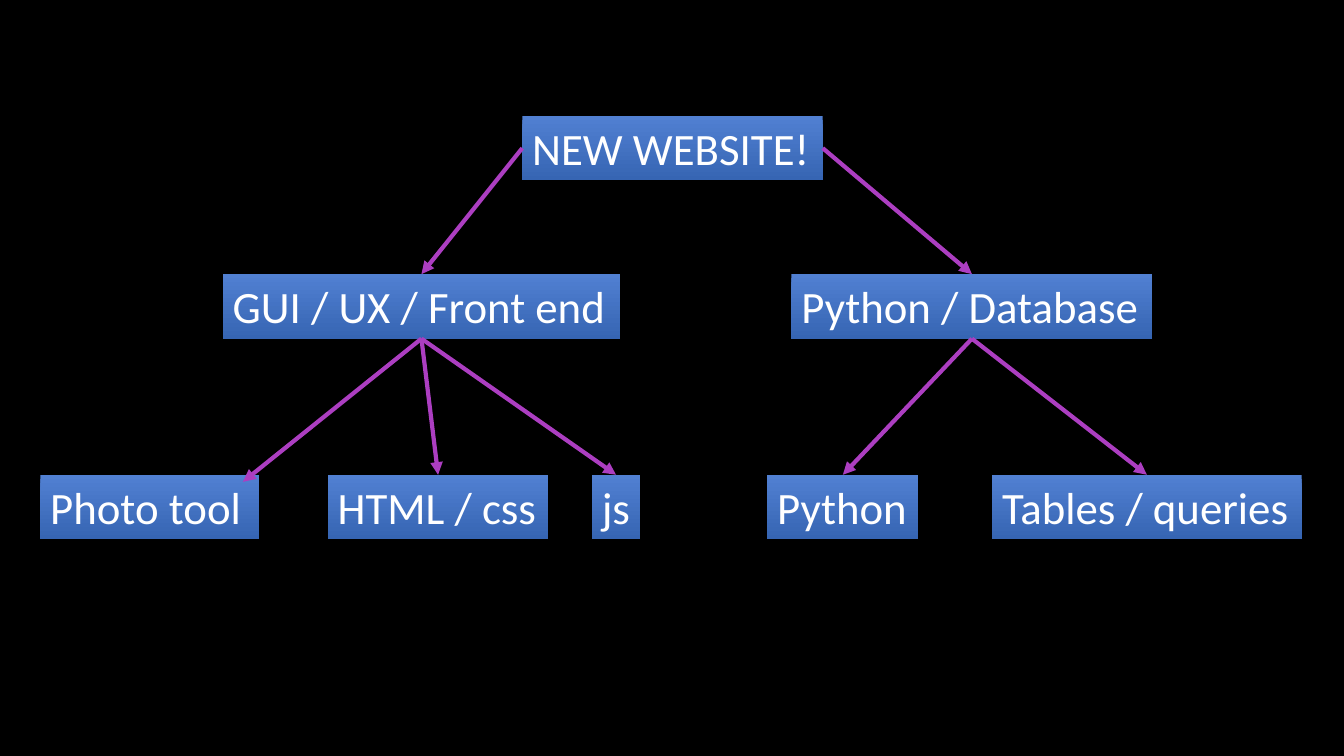
from lxml import etree
from pptx import Presentation
from pptx.dml.color import RGBColor
from pptx.enum import shapes, text
from pptx.oxml import ns
from pptx.util import Inches, Pt

TOP, LEFT, BOTTOM, RIGHT = range(4)
BOX_HEIGHT = 0.64


def color(value):
    return RGBColor.from_string(value)


def write(box, content, size=32, font="Calibri", fill="FFFFFF"):
    frame = box.text_frame
    frame.word_wrap = False
    frame.auto_size = text.MSO_AUTO_SIZE.SHAPE_TO_FIT_TEXT
    span = frame.paragraphs[0].add_run()
    span.text = content
    span.font.size = Pt(size)
    span.font.name = font
    span.font.color.rgb = color(fill)


def add_node(page, label, left, top, width):
    box = page.shapes.add_textbox(
        Inches(left), Inches(top), Inches(width), Inches(BOX_HEIGHT))
    box.fill.gradient()
    box.fill.gradient_angle = 270
    for stop, shade in zip(box.fill.gradient_stops, ("5180D2", "3665B3")):
        stop.color.rgb = color(shade)
        stop.position = 0 if shade == "5180D2" else 1
    write(box, label)
    return box


def add_arrow(page, parent, side, child, end=None):
    x, y = end or (0, 0)
    arrow = page.shapes.add_connector(
        shapes.MSO_CONNECTOR.STRAIGHT, 0, 0, Inches(x), Inches(y))
    arrow.begin_connect(parent, side)
    if end is None:
        arrow.end_connect(child, TOP)
    arrow.line.color.rgb = color("AC3EC1")
    arrow.line.width = Pt(3)
    etree.SubElement(arrow.line._get_or_add_ln(), ns.qn("a:tailEnd"), type="triangle")
    etree.SubElement(arrow._element.spPr, ns.qn("a:effectLst"))


def add_row(page, top, nodes):
    return [add_node(page, label, left, top, width) for label, left, width in nodes]


def build_tree(page):
    root, = add_row(page, 1.15, [("NEW WEBSITE!", 5.18, 2.98)])
    front, back = add_row(page, 2.72, [
        ("GUI / UX / Front end", 2.21, 3.94),
        ("Python / Database", 7.85, 3.58),
    ])
    photo, markup, script, python, tables = add_row(page, 4.71, [
        ("Photo tool", 0.4, 2.17),
        ("HTML / css", 3.25, 2.19),
        ("js", 5.87, 0.48),
        ("Python", 7.61, 1.5),
        ("Tables / queries", 9.84, 3.07),
    ])
    add_arrow(page, root, LEFT, front)
    add_arrow(page, root, RIGHT, back)
    add_arrow(page, front, BOTTOM, photo, end=(2.41, 4.78))
    for parent, children in ((front, (markup, script)), (back, (python, tables))):
        for child in children:
            add_arrow(page, parent, BOTTOM, child)


def main():
    deck = Presentation()
    deck.slide_width = Inches(13.33)
    deck.slide_height = Inches(7.5)
    page = deck.slides.add_slide(deck.slide_layouts[6])
    page.background.fill.solid()
    page.background.fill.fore_color.rgb = color("000000")
    build_tree(page)
    deck.save("out.pptx")


if __name__ == "__main__":
    main()
